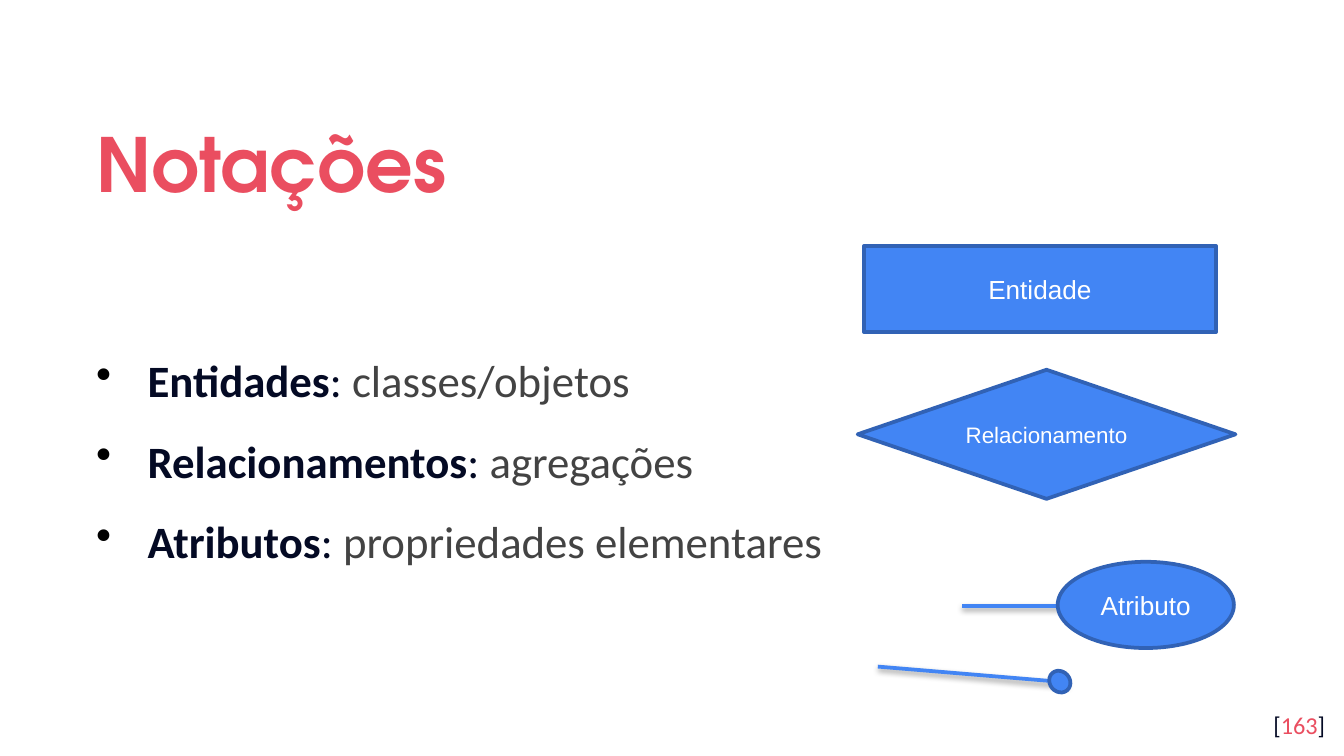
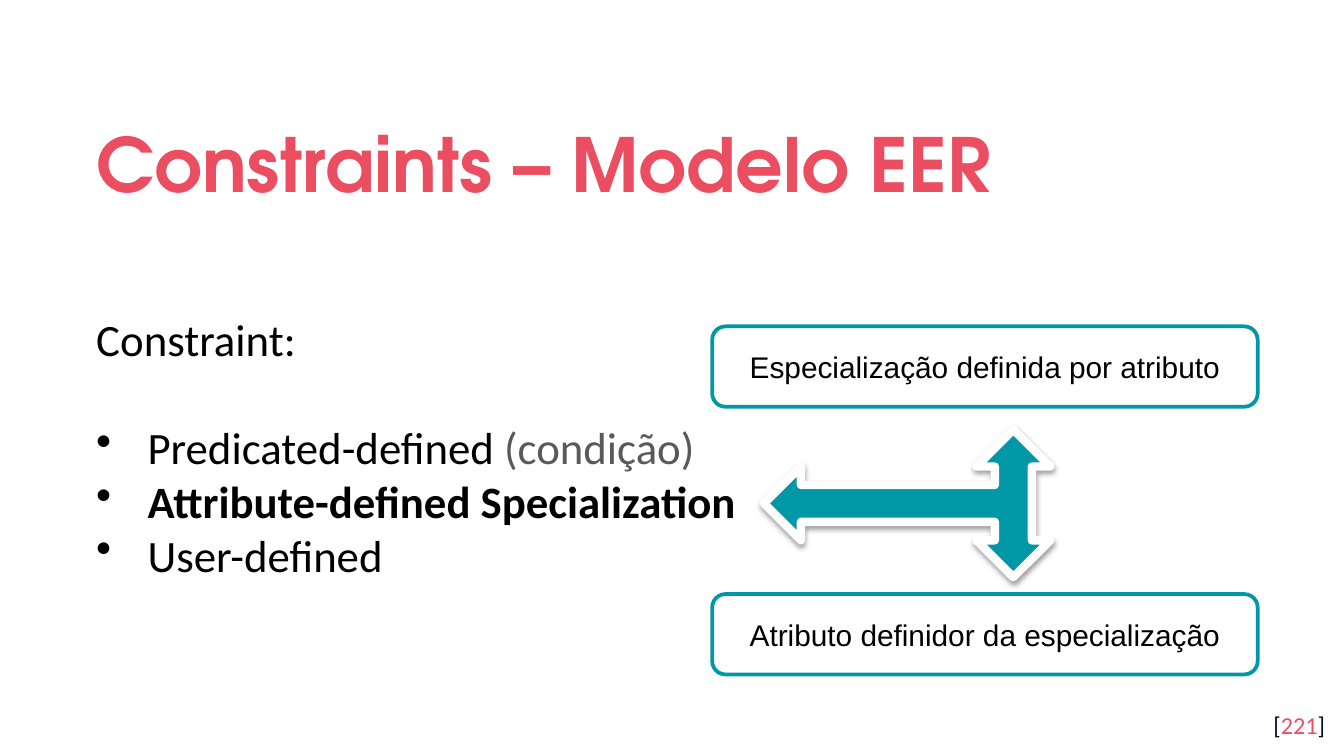
from lxml import etree
from pptx import Presentation
from pptx import util as u
from pptx.dml.color import RGBColor
from pptx.enum import shapes, text
from pptx.oxml import ns

COLORS = {
    "title": "EA4E60", "navy": "040A24", "black": "000000", "white": "FFFFFF",
    "dark": "434343", "gray": "595959", "blue": "4285F4", "edge": "3162B5",
    "teal": "0097A7",
}
MSO = shapes.MSO_SHAPE
ALIGN = text.PP_ALIGN
MIDDLE = text.MSO_ANCHOR.MIDDLE
BODY = {"name": "Calibri", "size": u.Pt(24)}
BLUE = {"fill": "blue", "line": "edge"}
TEAL = {"fill": "white", "line": "teal"}


def rgb(name):
    """Return the named colour."""
    return RGBColor.from_string(COLORS[name])


def apply(obj, values):
    """Set each attribute of obj from a dict."""
    for key, value in values.items():
        setattr(obj, key, value)


def add_xml(parent, tag, **attrs):
    """Append a DrawingML element and return it."""
    return etree.SubElement(parent, ns.qn(tag), attrs)


def add_runs(p, runs, font):
    """Add (text, colour, bold) runs to a paragraph."""
    for words, color, bold in runs:
        r = p.add_run()
        r.text = words
        apply(r.font, {**font, "bold": bold})
        r.font.color.rgb = rgb(color)


def set_bullet(p):
    """Give a paragraph a hanging round bullet."""
    pPr = p._p.get_or_add_pPr()
    apply_indent = u.Cm(0.97)
    pPr.set("marL", str(apply_indent))
    pPr.set("indent", str(-apply_indent))
    add_xml(add_xml(pPr, "a:buClr"), "a:srgbClr", val=COLORS["black"])
    add_xml(pPr, "a:buChar", char="•")


def set_shadow(sp, visible):
    """Replace the theme shadow by a soft one or by none."""
    spPr = sp._element.spPr
    for old in spPr.findall(ns.qn("a:effectLst")):
        spPr.remove(old)
    effects = add_xml(spPr, "a:effectLst")
    if visible:
        shadow = add_xml(effects, "a:outerShdw", blurRad=str(u.Pt(3.1)),
                         dist=str(u.Pt(1.6)), dir="5400000", rotWithShape="0")
        color = add_xml(shadow, "a:srgbClr", val=COLORS["black"])
        add_xml(color, "a:alpha", val="38000")


def add_text(s, box, paragraphs, font, anchor=text.MSO_ANCHOR.TOP):
    """Add a text box of (runs, format, bulleted) paragraphs."""
    tf = s.shapes.add_textbox(*map(u.Cm, box)).text_frame
    margins = ("margin_left", "margin_top", "margin_right", "margin_bottom")
    apply(tf, {**dict.fromkeys(margins, u.Cm(0.25)),
               "word_wrap": True, "vertical_anchor": anchor})
    for i, (runs, fmt, bulleted) in enumerate(paragraphs):
        p = tf.add_paragraph() if i else tf.paragraphs[0]
        if bulleted:
            set_bullet(p)
        apply(p, fmt)
        add_runs(p, runs, font)


def add_figure(parent, kind, box, fill, line, label="", size=14, color="white",
               width=2, rotation=0, shadow=False):
    """Add a filled preset shape with a centred label."""
    sp = parent.add_shape(kind, *map(u.Cm, box))
    sp.rotation = rotation
    sp.fill.solid()
    sp.fill.fore_color.rgb = rgb(fill)
    sp.line.color.rgb = rgb(line)
    sp.line.width = u.Pt(width)
    set_shadow(sp, shadow)
    if label:
        apply(sp.text_frame, {"word_wrap": True, "vertical_anchor": MIDDLE})
        p = sp.text_frame.paragraphs[0]
        p.alignment = ALIGN.CENTER
        add_runs(p, [(label, color, False)], {"name": "Arial", "size": u.Pt(size)})


def add_line(parent, ends):
    """Add a blue shadowed line."""
    line = parent.add_connector(shapes.MSO_CONNECTOR.STRAIGHT, *map(u.Cm, ends))
    line.line.color.rgb = rgb("blue")
    line.line.width = u.Pt(2)
    set_shadow(line, True)


def add_slide(prs, title, number):
    """Add a slide with the shared title and page number."""
    s = prs.slides.add_slide(prs.slide_layouts[6])
    add_text(s, (1.57, 1.78, 22.28, 2.34),
             [([(title, "title", True)], {"line_spacing": 1.15}, False)],
             {"name": "TeX Gyre Adventor", "size": u.Pt(40)}, MIDDLE)
    page = [("[", "navy", False), (number, "title", False), ("]", "navy", False)]
    add_text(s, (23.77, 13.18, 1.52, 1.09),
             [(page, {"alignment": ALIGN.RIGHT}, False)],
             {"name": "Calibri", "size": u.Pt(13)})
    return s


def add_notations(prs):
    """Build the slide on diagram notations."""
    s = add_slide(prs, "Notações", "163")
    terms = [("Entidades", "classes/objetos"), ("Relacionamentos", "agregações"),
             ("Atributos", "propriedades elementares")]
    paragraphs = []
    for i, (term, meaning) in enumerate(terms):
        runs = [(term, "navy", True), (": ", "navy", False), (meaning, "dark", False)]
        fmt = {"alignment": ALIGN.JUSTIFY, "line_spacing": 1.15,
               "space_before": u.Pt(10 if i else 0)}
        paragraphs.append((runs, fmt, True))
    add_text(s, (1.57, 4.47, 14.45, 8.31), paragraphs, BODY, MIDDLE)

    add_figure(s.shapes, MSO.RECTANGLE, (16.33, 4.65, 6.65, 1.63),
               label="Entidade", **BLUE)
    add_figure(s.shapes, MSO.DIAMOND, (16.21, 6.99, 7.14, 2.44),
               label="Relacionamento", size=12, **BLUE)
    attribute = s.shapes.add_group_shape().shapes
    add_line(attribute, (18.19, 11.46, 20.55, 11.46))
    add_figure(attribute, MSO.OVAL, (19.99, 10.62, 3.33, 1.63),
               label="Atributo", **BLUE)
    key = s.shapes.add_group_shape().shapes
    add_line(key, (16.59, 12.6, 20.19, 12.9))
    add_figure(key, MSO.OVAL, (19.84, 12.67, 0.38, 0.43), rotation=320, **BLUE)


def add_constraints(prs):
    """Build the slide on constraints of the EER model."""
    s = add_slide(prs, "Constraints – Modelo EER", "221")
    paragraphs = [
        ([("Constraint:", "black", False)], {}, False),
        ([("Predicated-defined ", "black", False), ("(condição)", "gray", False)],
         {"space_before": u.Pt(29)}, True),
        ([("Attribute-defined Specialization", "black", True)], {}, True),
        ([("User-defined", "black", False)], {}, True),
    ]
    add_text(s, (1.57, 4.11, 22.35, 8.66), paragraphs, BODY, MIDDLE)

    labels = [(11.23, "Atributo definidor da especialização"),
              (6.17, "Especialização definida por atributo")]
    for top, label in labels:
        add_figure(s.shapes, MSO.ROUNDED_RECTANGLE, (13.46, top, 10.31, 1.52),
                   label=label, size=16, color="black", **TEAL)
    add_figure(s.shapes, MSO.LEFT_RIGHT_UP_ARROW, (15.75, 6.81, 2.79, 5.41),
               fill="teal", line="white", width=4.5, rotation=270, shadow=True)


def main():
    """Build and save the presentation."""
    prs = Presentation()
    apply(prs, {"slide_width": u.Cm(25.4), "slide_height": u.Cm(14.29)})
    add_notations(prs)
    add_constraints(prs)
    prs.save("out.pptx")


if __name__ == "__main__":
    main()
